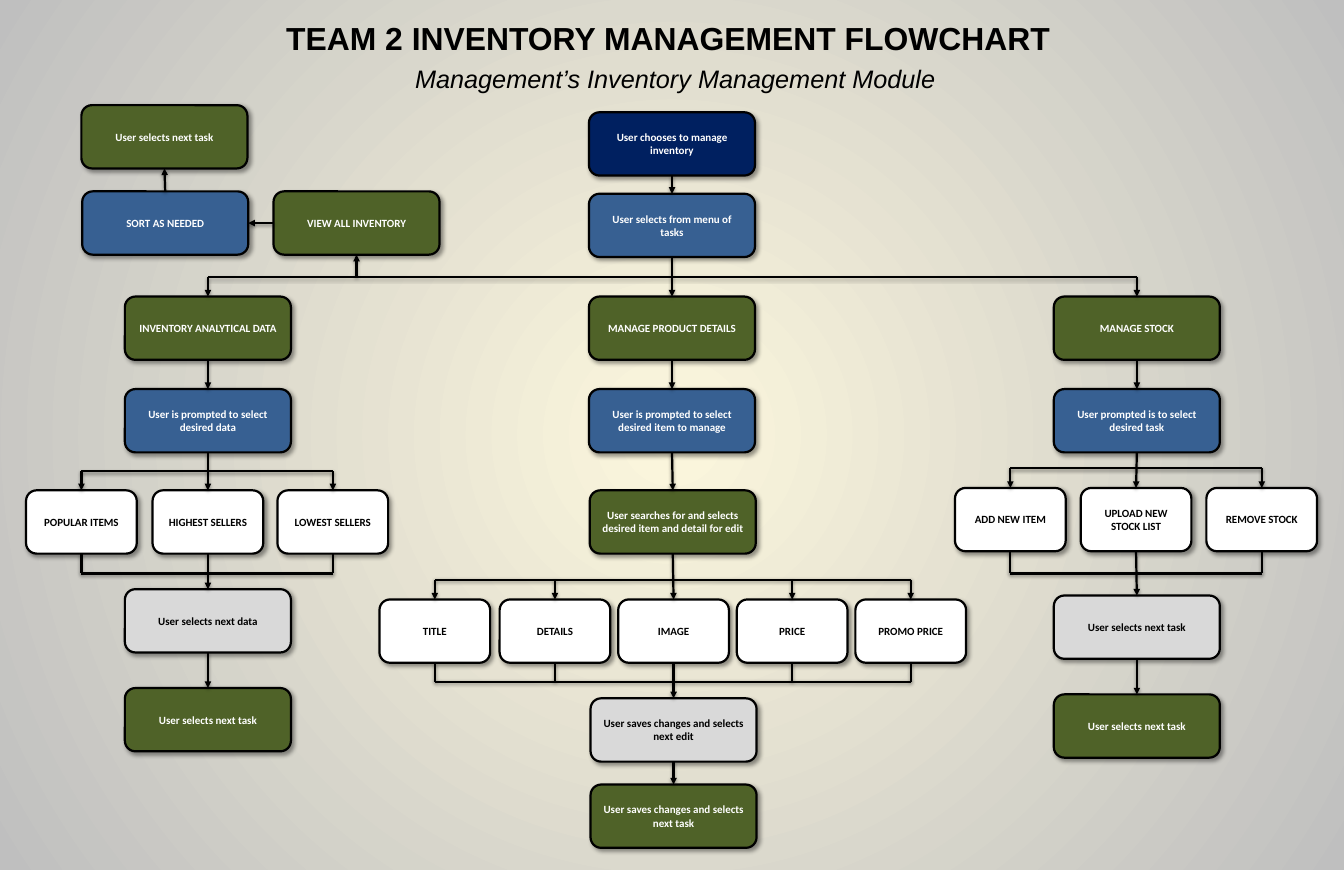
from pptx import Presentation
from pptx.dml.color import RGBColor
from pptx.enum.shapes import MSO_CONNECTOR as CONN, MSO_SHAPE as SHAPE
from pptx.enum.text import MSO_ANCHOR as ANCHOR, MSO_AUTO_SIZE as AUTO, PP_ALIGN as ALIGN
from pptx.oxml import parse_xml
from pptx.oxml.ns import nsdecls, qn
from pptx.util import Inches, Pt

BLACK = RGBColor(0x00, 0x00, 0x00)
WHITE = RGBColor(0xFF, 0xFF, 0xFF)
NAVY = RGBColor(0x00, 0x20, 0x60)
BLUE = RGBColor(0x37, 0x60, 0x92)
GREEN = RGBColor(0x4F, 0x62, 0x28)
GREY = RGBColor(0xD9, 0xD9, 0xD9)
CREAM = RGBColor(0xFC, 0xF7, 0xDD)
SILVER = RGBColor(0xBF, 0xBF, 0xBF)

WIDE, NARROW, HIGH = 2.1, 1.4, 0.8
LEFT, MID, RIGHT, BUS = 2.63, 8.5, 14.38, 3.5
BOX_SHADOW = {"alpha": 40, "blur": 4, "dist": 3, "angle": 45}
LINE_SHADOW = {"alpha": 38, "blur": 3.1, "dist": 1.6, "angle": 90}
FRAME = {"margin_left": Inches(0.11), "margin_right": Inches(0.11),
         "margin_top": Inches(0.06), "margin_bottom": Inches(0.06)}
BOX_FRAME = {**FRAME, "word_wrap": True, "vertical_anchor": ANCHOR.MIDDLE}
HEADING_FRAME = {**FRAME, "word_wrap": False, "auto_size": AUTO.SHAPE_TO_FIT_TEXT}
BOX_FONT = {"name": "Calibri", "size": Pt(10), "bold": True}
TITLE_FONT = {"name": "Arial", "size": Pt(29), "bold": True}
SUBTITLE_FONT = {"name": "Arial", "size": Pt(23), "italic": True}

CHAINS = [
    [("INVENTORY ANALYTICAL DATA", LEFT, 3.75, GREEN),
     ("User is prompted to select desired data", LEFT, 4.92, BLUE),
     ("HIGHEST SELLERS", LEFT, 6.2, WHITE),
     ("User selects next data", LEFT, 7.45, GREY),
     ("User selects next task", LEFT, 8.7, GREEN)],
    [("User chooses to manage inventory", MID, 1.42, NAVY),
     ("User selects from menu of tasks", MID, 2.45, BLUE),
     ("MANAGE PRODUCT DETAILS", MID, 3.75, GREEN),
     ("User is prompted to select desired item to manage", MID, 4.92, BLUE),
     ("User searches for and selects desired item and detail for edit", 8.51, 6.2, GREEN),
     ("IMAGE", 8.52, 7.58, WHITE),
     ("User saves changes and selects next edit", 8.52, 8.83, GREY),
     ("User saves changes and selects next task", 8.52, 9.92, GREEN)],
    [("MANAGE STOCK", RIGHT, 3.75, GREEN),
     ("User prompted is to select desired task", RIGHT, 4.92, BLUE),
     ("UPLOAD NEW STOCK LIST", 14.37, 6.17, WHITE),
     ("User selects next task", RIGHT, 7.53, GREY),
     ("User selects next task", RIGHT, 8.78, GREEN)],
]
BRANCHES = [
    (5.96, 6.2, 7.25, [("POPULAR ITEMS", 1.03), ("LOWEST SELLERS", 4.21)]),
    (7.33, 7.58, 8.62, [("TITLE", 5.5), ("DETAILS", 7.02),
                        ("PRICE", 10.02), ("PROMO PRICE", 11.52)]),
    (5.92, 6.17, 7.25, [("ADD NEW ITEM", 12.78), ("REMOVE STOCK", 15.96)]),
]
SIDE_BOXES = [("VIEW ALL INVENTORY", 4.51, 2.42, GREEN),
              ("SORT AS NEEDED", 2.09, 2.42, BLUE),
              ("User selects next task", 2.08, 1.33, GREEN)]
SIDE_ARROWS = [(4.51, BUS, 4.51, 3.22), (3.46, 2.82, 3.14, 2.82), (2.09, 2.42, 2.08, 2.13)]


def set_values(target, values):
    """Set each named value on the target."""
    for name, value in values.items():
        setattr(target, name, value)


def add_shadow(shape, alpha, blur, dist, angle):
    """Give a shape or connector a soft black shadow."""
    shape.element.spPr.append(parse_xml(
        f'<a:effectLst {nsdecls("a")}><a:outerShdw blurRad="{Pt(blur)}" dist="{Pt(dist)}" '
        f'dir="{angle * 60000}" rotWithShape="0"><a:srgbClr val="{BLACK}">'
        f'<a:alpha val="{alpha * 1000}"/></a:srgbClr></a:outerShdw></a:effectLst>'))


def set_background(s):
    """Fill the slide with a circular gradient."""
    s.background.fill.solid()
    bg = s.element.find(".//" + qn("p:bgPr"))
    bg.replace(bg[0], parse_xml(
        f'<a:gradFill {nsdecls("a")} rotWithShape="1"><a:gsLst>'
        f'<a:gs pos="0"><a:srgbClr val="{CREAM}"/></a:gs>'
        f'<a:gs pos="100000"><a:srgbClr val="{SILVER}"/></a:gs></a:gsLst>'
        '<a:path path="circle"><a:fillToRect l="50000" t="50000" r="50000" b="50000"/>'
        '</a:path></a:gradFill>'))


def write(shape, text, frame, font, color):
    """Write one formatted run in a shape and return its paragraph."""
    tf = shape.text_frame
    set_values(tf, frame)
    p = tf.paragraphs[0]
    r = p.add_run()
    r.text = text
    set_values(r.font, font)
    r.font.color.rgb = color
    return p


def add_heading(s, text, x, y, w, h, font):
    """Add a heading on one line."""
    box = s.shapes.add_textbox(Inches(x), Inches(y), Inches(w), Inches(h))
    write(box, text, HEADING_FRAME, font, BLACK)


def add_box(s, text, cx, top, fill):
    """Add a flowchart box centred on cx, narrow when it is a white option."""
    w = NARROW if fill == WHITE else WIDE
    sp = s.shapes.add_shape(SHAPE.ROUNDED_RECTANGLE, Inches(cx - w / 2), Inches(top),
                            Inches(w), Inches(HIGH))
    sp.fill.solid()
    sp.fill.fore_color.rgb = fill
    sp.line.color.rgb = BLACK
    sp.line.width = Pt(2)
    add_shadow(sp, **BOX_SHADOW)
    color = BLACK if fill in (WHITE, GREY) else WHITE
    write(sp, text, BOX_FRAME, BOX_FONT, color).alignment = ALIGN.CENTER


def add_line(s, x1, y1, x2, y2, arrow=False):
    """Add a straight line, with an arrowhead at its end if wanted."""
    c = s.shapes.add_connector(CONN.STRAIGHT, Inches(x1), Inches(y1), Inches(x2), Inches(y2))
    c.line.color.rgb = BLACK
    c.line.width = Pt(2)
    if arrow:
        c.element.spPr.get_or_add_ln().append(
            parse_xml(f'<a:tailEnd {nsdecls("a")} type="triangle"/>'))
    add_shadow(c, **LINE_SHADOW)


def add_chain(s, steps):
    """Add a column of boxes joined by arrows."""
    for step in steps:
        add_box(s, *step)
    for (_, x1, top1, _), (_, x2, top2, _) in zip(steps, steps[1:]):
        add_line(s, x1, top1 + HIGH, x2, top2, arrow=True)


def add_branch(s, split, top, merge, options):
    """Add side options that split from a column and merge into it again."""
    for text, cx in options:
        add_box(s, text, cx, top, WHITE)
        add_line(s, cx, split, cx, top, arrow=True)
        add_line(s, cx, top + HIGH, cx, merge)
    for y in (split, merge):
        add_line(s, options[0][1], y, options[-1][1], y)


def main():
    """Build the inventory flowchart slide."""
    prs = Presentation()
    prs.slide_width, prs.slide_height = Inches(17), Inches(11)
    s = prs.slides.add_slide(prs.slide_layouts[6])
    set_background(s)
    add_heading(s, "TEAM 2 INVENTORY MANAGEMENT FLOWCHART", 3.51, 0.17, 9.99, 0.6, TITLE_FONT)
    add_heading(s, "Management’s Inventory Management Module", 5.14, 0.74, 6.85, 0.5,
                SUBTITLE_FONT)
    for steps in CHAINS:
        add_chain(s, steps)
    for branch in BRANCHES:
        add_branch(s, *branch)
    add_line(s, LEFT, BUS, RIGHT, BUS)
    for x in (LEFT, RIGHT):
        add_line(s, x, BUS, x, 3.75, arrow=True)
    for box in SIDE_BOXES:
        add_box(s, *box)
    for ends in SIDE_ARROWS:
        add_line(s, *ends, arrow=True)
    prs.save("out.pptx")


if __name__ == "__main__":
    main()
